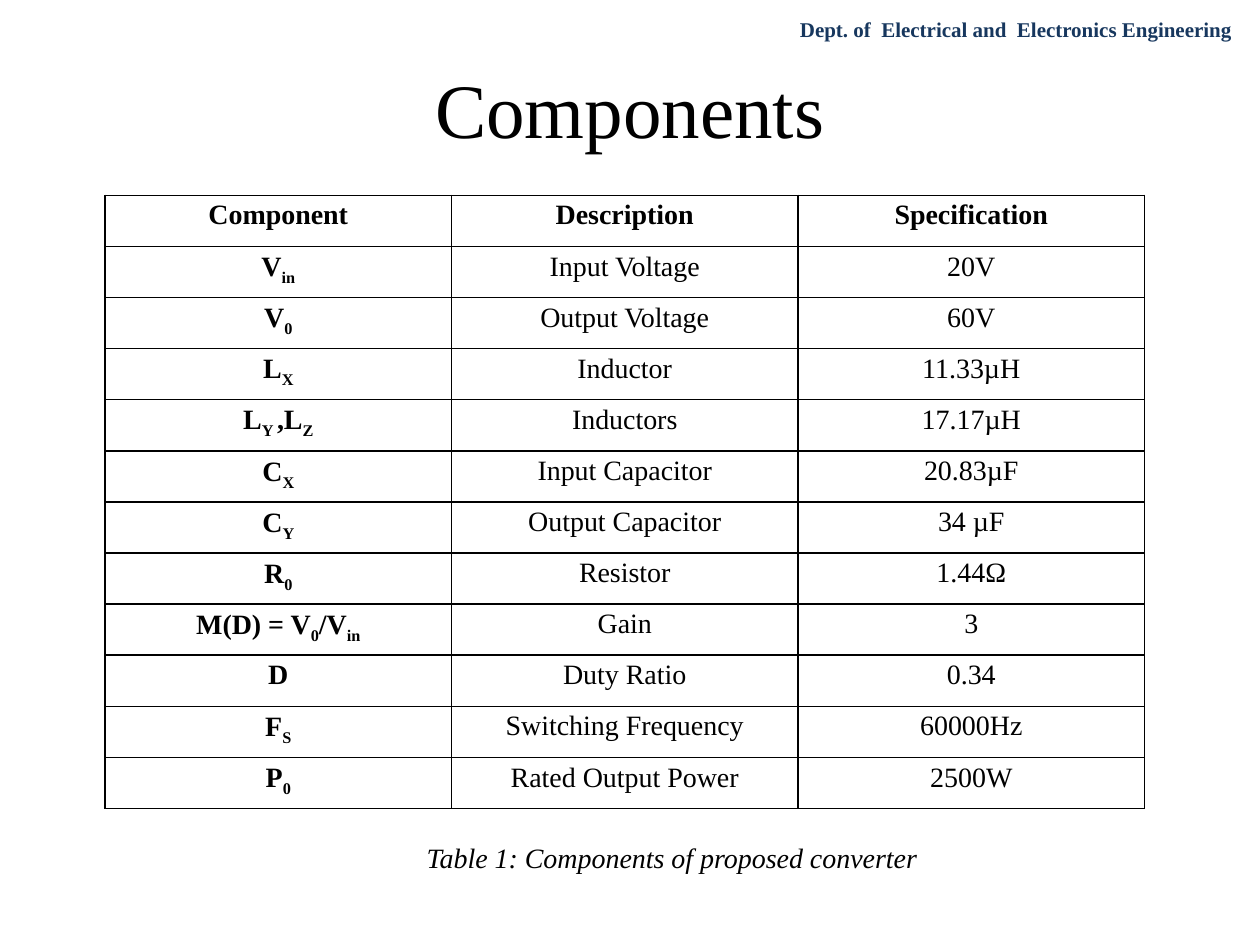
"""Build the Components slide with its converter specification table."""
from lxml import etree
from pptx import Presentation
from pptx.dml.color import RGBColor
from pptx.enum import text
from pptx.oxml import ns
from pptx.util import Pt

FONT = "Times New Roman"
BLACK = RGBColor(0x00, 0x00, 0x00)
NAVY = RGBColor(0x17, 0x37, 0x5E)

TITLE = "Components"
DEPARTMENT = "Dept. of  Electrical and  Electronics Engineering"
CAPTION = "Table 1: Components of proposed converter"
HEADER = (("Component",), "Description", "Specification")
# Symbols alternate between baseline and subscript pieces.
COMPONENTS = [
    (("V", "in"), "Input Voltage", "20V"),
    (("V", "0"), "Output Voltage", "60V"),
    (("L", "X"), "Inductor", "11.33µH"),
    (("L", "Y ", ",L", "Z"), "Inductors", "17.17µH"),
    (("C", "X"), "Input Capacitor", "20.83µF"),
    (("C", "Y"), "Output Capacitor", "34 µF"),
    (("R", "0"), "Resistor", "1.44Ω"),
    (("M(D) = V", "0", "/V", "in"), "Gain", "3"),
    (("D",), "Duty Ratio", "0.34"),
    (("F", "S"), "Switching Frequency", "60000Hz"),
    (("P", "0"), "Rated Output Power", "2500W"),
]

TABLE_LEFT, TABLE_TOP = 60, 111.6
COLUMN_WIDTH, ROW_HEIGHT = 198, 29.22
CELL_MARGIN = 5


def format_run(run, size, color=BLACK, bold=False, italic=False):
    font = run.font
    font.name, font.size, font.bold, font.italic = FONT, Pt(size), bold, italic
    font.color.rgb = color


def add_label(slide, wording, box, align, **style):
    label = slide.shapes.add_textbox(*map(Pt, box))
    frame = label.text_frame
    frame.word_wrap = True
    frame.text = wording
    paragraph = frame.paragraphs[0]
    paragraph.alignment = align
    format_run(paragraph.runs[0], **style)


def add_borders(cell):
    properties = cell._tc.get_or_add_tcPr()
    for position, side in enumerate(("lnL", "lnR", "lnT", "lnB")):
        line = etree.Element(ns.qn(f"a:{side}"), w=str(Pt(1)))
        fill = etree.SubElement(line, ns.qn("a:solidFill"))
        etree.SubElement(fill, ns.qn("a:srgbClr"), val=str(BLACK))
        properties.insert(position, line)


def fill_cell(cell, pieces, bold):
    cell.margin_left = cell.margin_right = Pt(CELL_MARGIN)
    cell.margin_top = cell.margin_bottom = Pt(0)
    cell.fill.background()
    add_borders(cell)
    paragraph = cell.text_frame.paragraphs[0]
    paragraph.alignment = text.PP_ALIGN.CENTER
    paragraph.line_spacing = 1.15
    paragraph.space_after = Pt(10)
    for position, piece in enumerate(pieces):
        run = paragraph.add_run()
        run.text = piece
        format_run(run, 16, bold=bold)
        if position % 2:
            run.font._element.set("baseline", "-25000")


def add_component_table(slide):
    rows = [HEADER, *COMPONENTS]
    columns = len(HEADER)
    table = slide.shapes.add_table(
        len(rows), columns, Pt(TABLE_LEFT), Pt(TABLE_TOP),
        Pt(COLUMN_WIDTH * columns), Pt(ROW_HEIGHT * len(rows))).table
    table.first_row = table.horz_banding = False
    for row_index, (symbol, *details) in enumerate(rows):
        table.rows[row_index].height = Pt(ROW_HEIGHT)
        for column_index, pieces in enumerate([symbol, *((detail,) for detail in details)]):
            bold = row_index == 0 or column_index == 0
            fill_cell(table.cell(row_index, column_index), pieces, bold)


def main():
    presentation = Presentation()
    presentation.slide_width, presentation.slide_height = Pt(720), Pt(540)
    slide = presentation.slides.add_slide(presentation.slide_layouts[5])

    title = slide.shapes.title
    title.left, title.top, title.width, title.height = map(Pt, (36, 16.5, 648, 90))
    title.text_frame.text = TITLE
    title.text_frame.vertical_anchor = text.MSO_ANCHOR.MIDDLE
    paragraph = title.text_frame.paragraphs[0]
    paragraph.alignment = text.PP_ALIGN.CENTER
    format_run(paragraph.runs[0], 44)

    add_component_table(slide)
    add_label(slide, DEPARTMENT, (450, 6, 270, 21.8), text.PP_ALIGN.LEFT,
              size=12, color=NAVY, bold=True)
    add_label(slide, CAPTION, (204, 476.5, 360, 26.6), text.PP_ALIGN.CENTER,
              size=16, italic=True)
    presentation.save("out.pptx")


if __name__ == "__main__":
    main()
